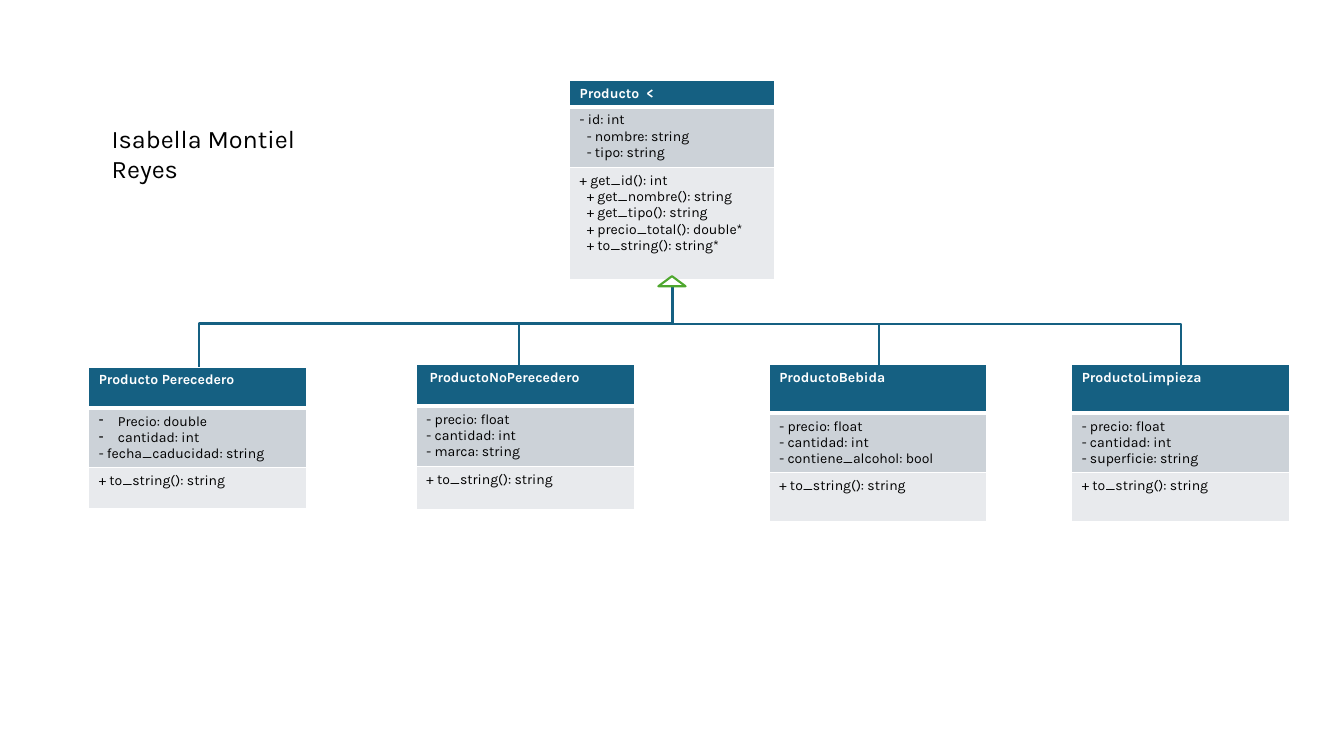
from lxml.etree import SubElement
from pptx import Presentation
from pptx.dml.color import RGBColor
from pptx.enum.shapes import MSO_CONNECTOR, MSO_SHAPE
from pptx.oxml import parse_xml
from pptx.oxml.ns import nsdecls, qn
from pptx.util import Inches, Pt

COLORS = {"header": "156082", "attributes": "CCD2D8", "methods": "E8EAED",
          "white": "FFFFFF", "black": "000000", "arrow": "4EA72E"}
FONT = "Karla"
CLASS_WIDTH, CLASS_TOP = 2.16, 3.62
TRUNK_X, BUS_Y = 6.67, 3.21

# Paragraph styles: left margin, first-line indent (inches), bullet
PLAIN = (0, 0, None)
NESTED = (0.07, 0, None)
SHIFTED = (0.03, 0, None)
DASHED = (0.19, -0.19, "-")


def plain(*lines):
    return [(line, PLAIN) for line in lines]


def nested(first, *others):
    return [(first, PLAIN)] + [(line, NESTED) for line in others]


TO_STRING = plain("+ to_string(): string")
SALE = ("- precio: float", "- cantidad: int")

# Left, top, width, row heights, then the lines of each row
CLASSES = [
    (5.65, 0.8, 2.03, (0.26, 0.6, 1.11), plain("Producto  <"),
     nested("- id: int", "- nombre: string", "- tipo: string"),
     nested("+ get_id(): int", "+ get_nombre(): string", "+ get_tipo(): string",
            "+ precio_total(): double*", "+ to_string(): string*")),
    (0.88, 3.64, CLASS_WIDTH, (0.41, 0.59, 0.41), plain("Producto Perecedero"),
     [("Precio: double", DASHED), ("cantidad: int", DASHED),
      ("- fecha_caducidad: string", PLAIN)], TO_STRING),
    (4.13, CLASS_TOP, CLASS_WIDTH, (0.41, 0.6, 0.43),
     [("ProductoNoPerecedero", SHIFTED)], plain(*SALE, "- marca: string"), TO_STRING),
    (7.63, CLASS_TOP, CLASS_WIDTH, (0.48, 0.59, 0.48), plain("ProductoBebida"),
     plain(*SALE, "- contiene_alcohol: bool"), TO_STRING),
    (10.63, CLASS_TOP, CLASS_WIDTH, (0.48, 0.59, 0.48), plain("ProductoLimpieza"),
     plain(*SALE, "- superficie: string"), TO_STRING),
]


def color(name):
    return RGBColor.from_string(COLORS[name])


def format_font(font, size, color_name, bold=False):
    for attribute, value in {"name": FONT, "size": Pt(size), "bold": bold}.items():
        setattr(font, attribute, value)
    font.color.rgb = color(color_name)


def write_lines(text_frame, lines, color_name, bold):
    for index, (line, (margin, indent, bullet)) in enumerate(lines):
        paragraph = text_frame.add_paragraph() if index else text_frame.paragraphs[0]
        run = paragraph.add_run()
        run.text = line
        format_font(run.font, 10, color_name, bold)
        properties = paragraph._p.get_or_add_pPr()
        properties.set("marL", str(Inches(margin)))
        properties.set("indent", str(Inches(indent)))
        if bullet:
            SubElement(properties, qn("a:buChar")).set("char", bullet)


def set_borders(cell, widths):
    properties = cell._tc.get_or_add_tcPr()
    for index, (side, width) in enumerate(zip("LRTB", widths)):
        properties.insert(index, parse_xml(
            f'<a:ln{side} {nsdecls("a")} w="{Pt(width)}"><a:solidFill>'
            f'<a:srgbClr val="{COLORS["white"]}"/></a:solidFill></a:ln{side}>'))


def add_class(slide, left, top, width, heights, *sections):
    frame = slide.shapes.add_table(3, 1, Inches(left), Inches(top),
                                   Inches(width), Inches(sum(heights)))
    table = frame.table
    styles = [("header", "white", True, (1, 1, 1, 3)),
              ("attributes", "black", False, (1, 1, 3, 1)),
              ("methods", "black", False, (1, 1, 1, 1))]
    for index, (fill, text_color, bold, borders) in enumerate(styles):
        table.rows[index].height = Inches(heights[index])
        cell = table.cell(index, 0)
        cell.fill.solid()
        cell.fill.fore_color.rgb = color(fill)
        set_borders(cell, borders)
        write_lines(cell.text_frame, sections[index], text_color, bold)


def add_link(slide, kind, *ends):
    link = slide.shapes.add_connector(kind, *map(Inches, ends))
    link.line.color.rgb = color("header")
    link.line.width = Pt(1.5)
    SubElement(link._element.spPr, qn("a:effectLst"))
    return link


def add_inheritance(slide):
    trunk = add_link(slide, MSO_CONNECTOR.ELBOW, 3.89, 0.86, 4.75, 5.56)
    trunk._element.spPr.find(qn("a:xfrm")).set("rot", str(90 * 60000))
    branch = add_link(slide, MSO_CONNECTOR.ELBOW, TRUNK_X, BUS_Y, 11.71, CLASS_TOP)
    branch._element.spPr.find(qn("a:prstGeom")).set("prst", "bentConnector2")
    for x in (5.15, 8.72):
        add_link(slide, MSO_CONNECTOR.STRAIGHT, x, CLASS_TOP, x, BUS_Y)
    arrow = slide.shapes.add_shape(MSO_SHAPE.ISOSCELES_TRIANGLE, Inches(6.53),
                                   Inches(2.74), Inches(0.27), Inches(0.1))
    arrow.shadow.inherit = False
    arrow.fill.solid()
    arrow.fill.fore_color.rgb = color("white")
    arrow.line.color.rgb = color("arrow")
    arrow.line.width = Pt(1.5)


def add_author(slide, left, top, width, height):
    box = slide.shapes.add_textbox(*map(Inches, (left, top, width, height)))
    box.text_frame.word_wrap = True
    run = box.text_frame.paragraphs[0].add_run()
    run.text = "Isabella Montiel Reyes"
    format_font(run.font, 18, "black")


def main():
    presentation = Presentation()
    presentation.slide_width = Inches(13.33)
    presentation.slide_height = Inches(7.5)
    slide = presentation.slides.add_slide(presentation.slide_layouts[6])
    for product_class in CLASSES:
        add_class(slide, *product_class)
    add_inheritance(slide)
    add_author(slide, 1.01, 1.17, 2.63, 0.4)
    presentation.save("out.pptx")


if __name__ == "__main__":
    main()
